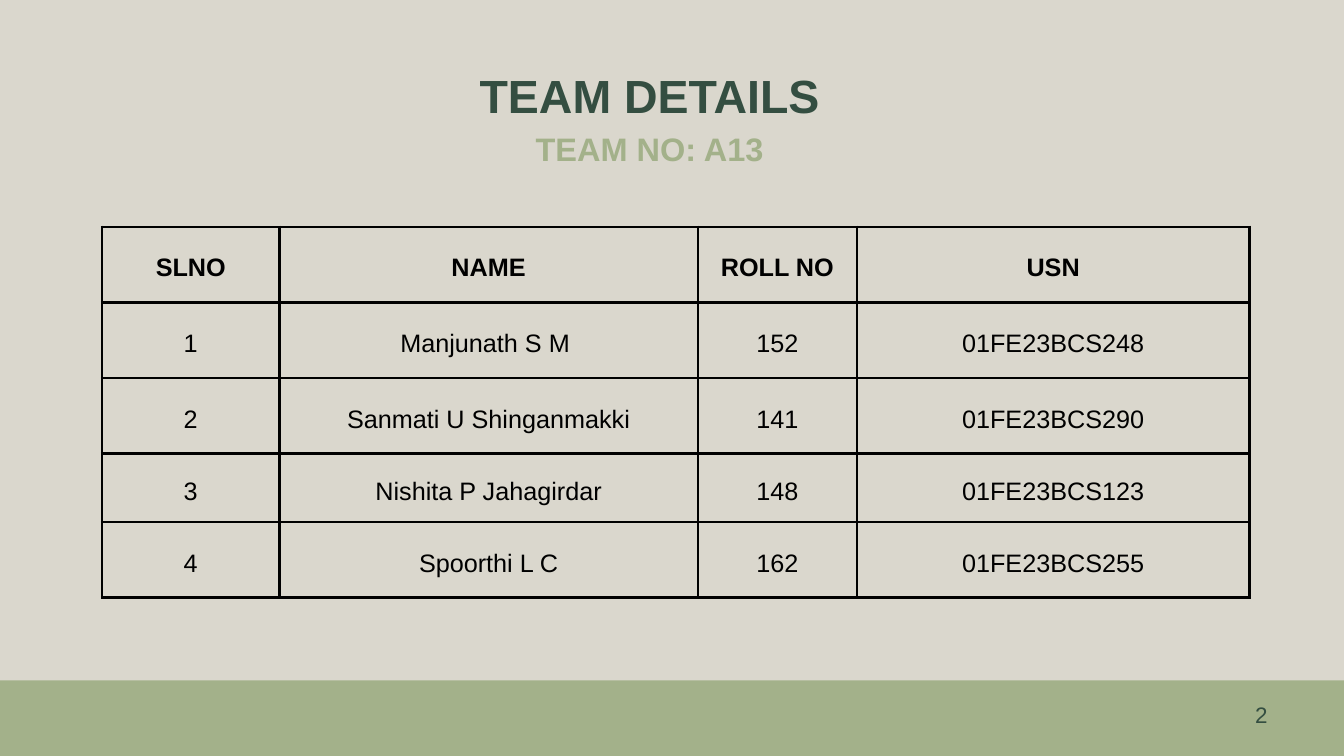
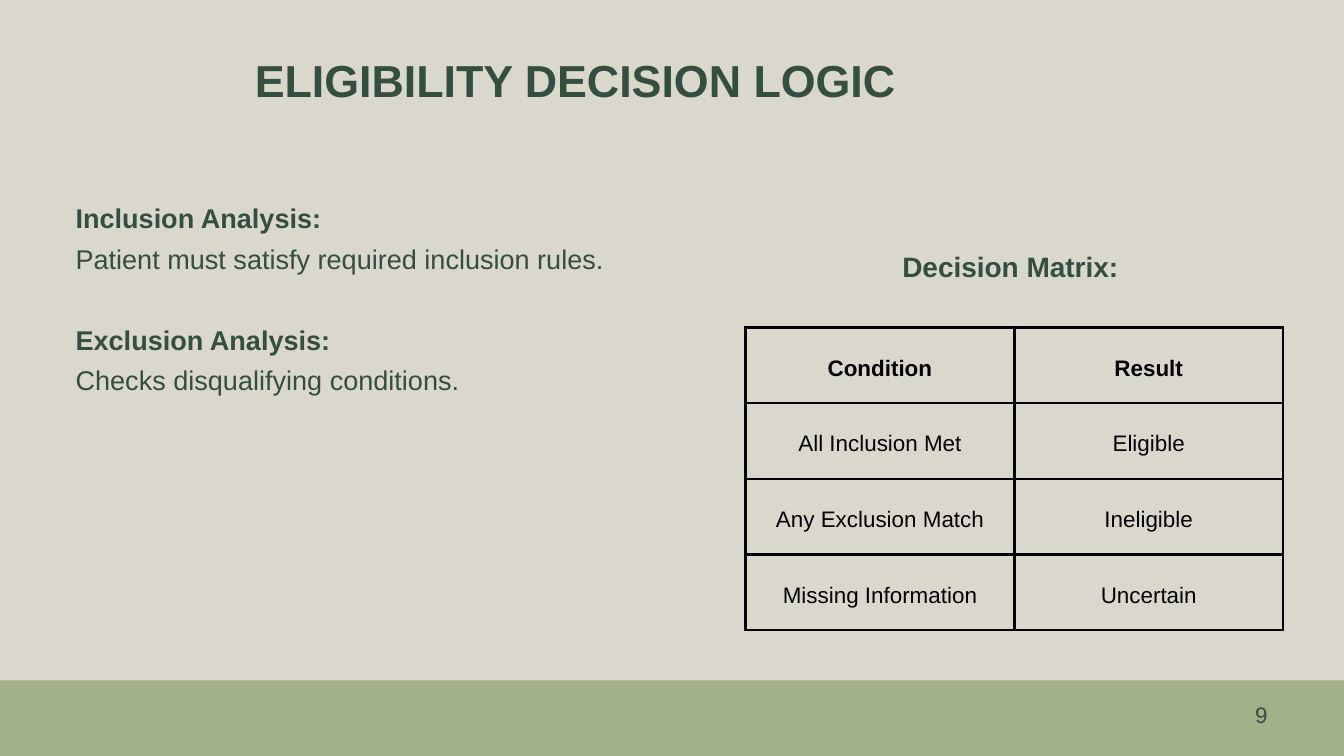
from dataclasses import dataclass

from lxml.etree import SubElement
from pptx import Presentation
from pptx.dml.color import RGBColor
from pptx.enum.shapes import MSO_SHAPE as Shape
from pptx.enum.text import MSO_ANCHOR as Anchor, PP_ALIGN as Align
from pptx.oxml.ns import qn
from pptx.util import Pt

EMU_PER_PX = 9525
SLIDE_W, SLIDE_H = 1920, 1080
BAND_H = 108


@dataclass(frozen=True)
class Theme:
    font: str = "Arial"
    paper: str = "DAD7CD"
    sage: str = "A3B18A"
    forest: str = "344E41"
    black: str = "000000"
    team_title: float = 49.8
    title: float = 48
    subtitle: float = 34.8
    heading: float = 30
    body: float = 29
    roster: float = 27
    small: float = 24
    tight: float = 1.4
    loose: float = 1.5
    border: float = 3
    cell_margin: int = 20


THEME = Theme()


def px(n):
    return n * EMU_PER_PX


def rgb(color):
    return RGBColor.from_string(color)


def style(p, size, color=THEME.forest, bold=False, align=Align.LEFT,
          leading=THEME.tight):
    """Format a paragraph; leading is a multiple of the type size."""
    p.alignment = align
    p.line_spacing = Pt(round(size * leading, 1))
    p.font.name = THEME.font
    p.font.size = Pt(size)
    p.font.bold = bold
    p.font.color.rgb = rgb(color)


def add_text(s, box, lines):
    """Fill a text box with (text, style options) lines and return its frame."""
    tf = s.shapes.add_textbox(*map(px, box)).text_frame
    tf.word_wrap = True
    tf.margin_left = tf.margin_top = tf.margin_right = tf.margin_bottom = 0
    for i, (text, options) in enumerate(lines):
        p = tf.add_paragraph() if i else tf.paragraphs[0]
        p.text = text
        style(p, **options)
    return tf


def add_borders(cell):
    """Draw all four edges; the schema wants them ahead of the cell fill."""
    tc_pr = cell._tc.get_or_add_tcPr()
    for i, edge in enumerate(("lnL", "lnR", "lnT", "lnB")):
        ln = SubElement(tc_pr, qn(f"a:{edge}"), w=str(Pt(THEME.border)))
        fill = SubElement(ln, qn("a:solidFill"))
        SubElement(fill, qn("a:srgbClr"), val=THEME.black)
        tc_pr.insert(i, ln)


def add_grid(s, left, top, col_widths, row_heights, rows, size):
    """Ruled table with a bold first row."""
    table = s.shapes.add_table(
        len(rows), len(col_widths), px(left), px(top),
        px(sum(col_widths)), px(sum(row_heights))).table
    table.horz_banding = False
    for column, width in zip(table.columns, col_widths):
        column.width = px(width)
    for row, height in zip(table.rows, row_heights):
        row.height = px(height)
    for r, values in enumerate(rows):
        for c, value in enumerate(values):
            cell = table.cell(r, c)
            cell.text = value
            cell.vertical_anchor = Anchor.MIDDLE
            cell.margin_left = cell.margin_right = px(THEME.cell_margin)
            cell.margin_top = cell.margin_bottom = px(THEME.cell_margin)
            cell.fill.background()
            add_borders(cell)
            style(cell.text_frame.paragraphs[0], size, THEME.black,
                  bold=r == 0, align=Align.CENTER)


def add_footer(s, box, number):
    left, top, width, height = box
    band = s.shapes.add_shape(Shape.RECTANGLE, *map(px, box))
    band.shadow.inherit = False
    band.fill.solid()
    band.fill.fore_color.rgb = rgb(THEME.sage)
    band.line.fill.background()
    add_text(s, (left + width - 441, top + 23, 332, 48),
             [(str(number), dict(size=THEME.small, align=Align.RIGHT))])


def add_base_slide(prs, number):
    s = prs.slides.add_slide(prs.slide_layouts[6])
    s.background.fill.solid()
    s.background.fill.fore_color.rgb = rgb(THEME.paper)
    add_footer(s, (0, SLIDE_H - BAND_H, SLIDE_W, BAND_H), number)
    return s


def add_decision_matrix(s, box):
    left, top, width, height = box
    add_text(s, (left, top, width, 62), [
        ("Decision Matrix: ", dict(size=THEME.heading, bold=True,
                                   align=Align.CENTER, leading=THEME.loose))])
    rows = [
        ("Condition", "Result"),
        ("All Inclusion Met", "Eligible"),
        ("Any Exclusion Match", "Ineligible"),
        ("Missing Information", "Uncertain"),
    ]
    grid_offset = 123
    row_height = (height - grid_offset) // len(rows)
    add_grid(s, left, top + grid_offset, [width // 2] * 2,
             [row_height] * len(rows), rows, THEME.small)


def add_analyses(s, box):
    label = dict(size=THEME.body, bold=True, leading=THEME.loose)
    rule = dict(label, bold=False)
    tf = add_text(s, box, [
        ("Inclusion Analysis:", label),
        ("Patient must satisfy required inclusion rules.", rule),
        ("Exclusion Analysis:", label),
        ("Checks disqualifying conditions.", rule),
    ])
    tf.paragraphs[2].space_before = Pt(THEME.body * THEME.loose)


def team_slide(prs):
    s = add_base_slide(prs, 2)
    centred = dict(bold=True, align=Align.CENTER)
    add_text(s, (146, 82, 1564, 165), [
        ("TEAM DETAILS", dict(centred, size=THEME.team_title)),
        ("TEAM NO: A13", dict(centred, size=THEME.subtitle,
                              color=THEME.sage)),
    ])
    add_grid(s, 146, 324, [253, 598, 227, 561], [108, 108, 108, 98, 108], [
        ("SLNO", "NAME", "ROLL NO", "USN"),
        ("1", "Manjunath S M ", "152", "01FE23BCS248"),
        ("2", "Sanmati U Shinganmakki", "141", "01FE23BCS290"),
        ("3", "Nishita P Jahagirdar", "148", "01FE23BCS123"),
        ("4", "Spoorthi L C", "162", "01FE23BCS255"),
    ], THEME.roster)


def decision_slide(prs):
    s = add_base_slide(prs, 9)
    add_text(s, (364, 62, 1365, 96), [
        ("ELIGIBILITY DECISION LOGIC", dict(size=THEME.title, bold=True))])
    add_analyses(s, (108, 276, 825, 294))
    add_decision_matrix(s, (1065, 345, 768, 555))


def main():
    prs = Presentation()
    prs.slide_width, prs.slide_height = px(SLIDE_W), px(SLIDE_H)
    team_slide(prs)
    decision_slide(prs)
    prs.save("out.pptx")


if __name__ == "__main__":
    main()
